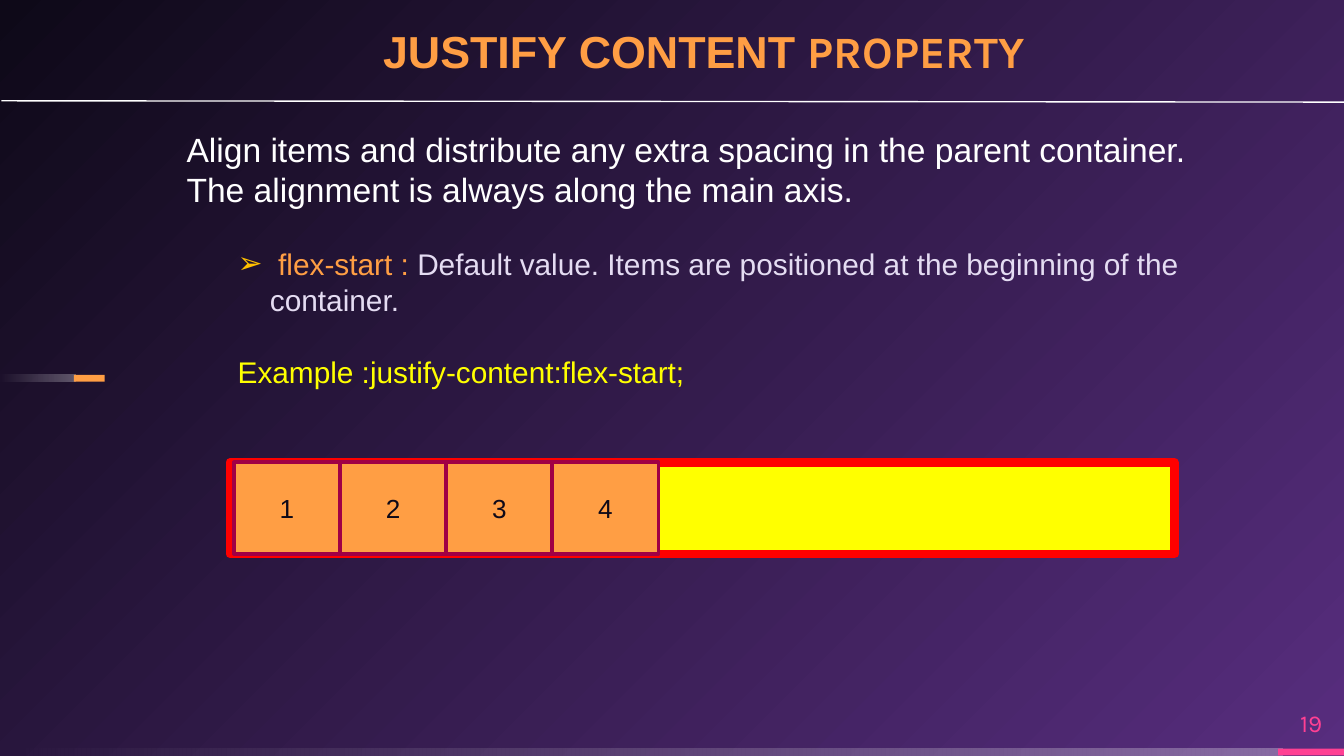
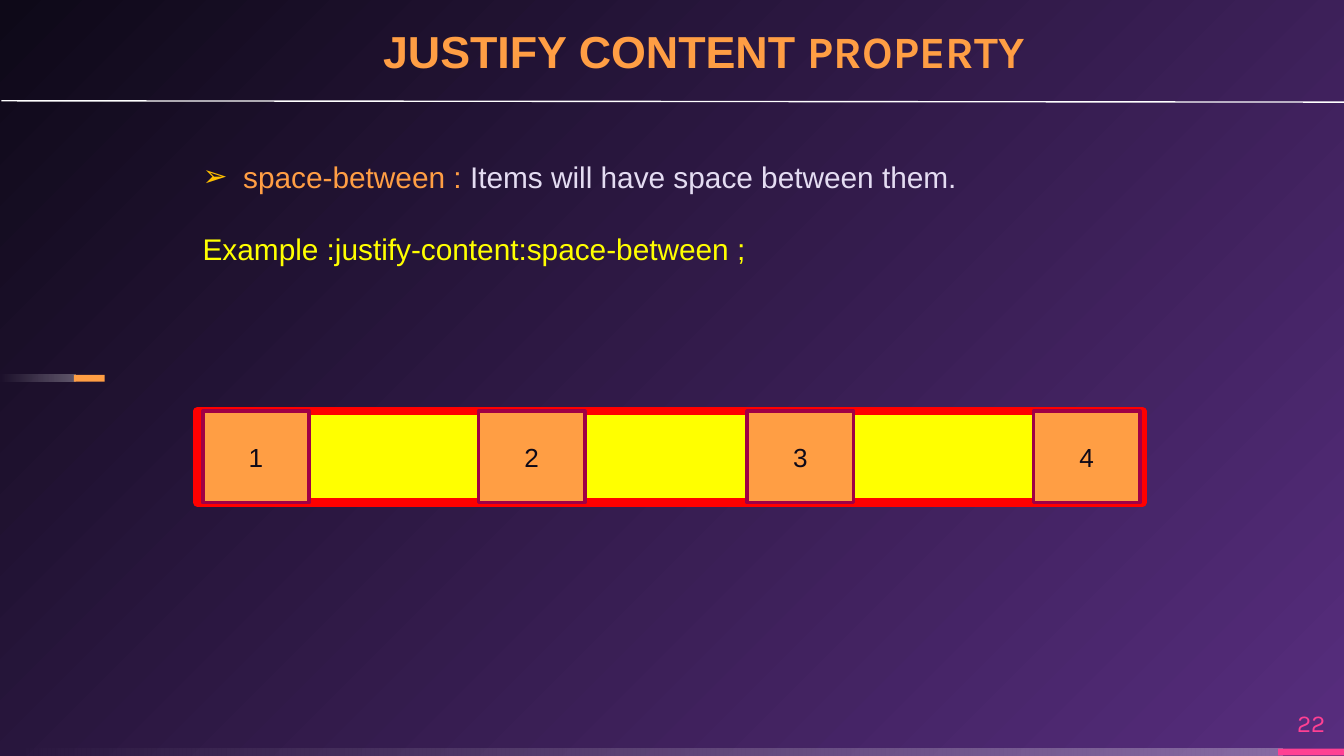
from lxml import etree
from pptx import Presentation
from pptx.dml.color import RGBColor
from pptx.enum.shapes import MSO_CONNECTOR, MSO_SHAPE
from pptx.enum.text import MSO_ANCHOR, MSO_AUTO_SIZE, PP_ALIGN
from pptx.oxml import parse_xml
from pptx.oxml.ns import nsdecls, qn
from pptx.util import Inches, Pt

RECT, PROCESS = MSO_SHAPE.RECTANGLE, MSO_SHAPE.FLOWCHART_PROCESS
LEFT, CENTER = PP_ALIGN.LEFT, PP_ALIGN.CENTER
TOP, MIDDLE, BOTTOM = MSO_ANCHOR.TOP, MSO_ANCHOR.MIDDLE, MSO_ANCHOR.BOTTOM

PURPLE = RGBColor(0x57, 0x2D, 0x7E)
NIGHT = RGBColor(0x0E, 0x09, 0x18)
PINK = RGBColor(0xFF, 0x40, 0x93)
ORANGE = RGBColor(0xFF, 0x9E, 0x44)
GOLD = RGBColor(0xFF, 0xC0, 0x00)
LAVENDER = RGBColor(0xE4, 0xDC, 0xF2)
YELLOW = RGBColor(0xFF, 0xFF, 0x00)
RED = RGBColor(0xFF, 0x00, 0x00)
WINE = RGBColor(0xA0, 0x00, 0x45)
WHITE = RGBColor(0xFF, 0xFF, 0xFF)

BODY_FONT, ACCENT_FONT = "Arial", "Karla"

# Content: a paragraph is a list of (text, colour, font) runs
TITLE = [("JUSTIFY CONTENT ", ORANGE, BODY_FONT), ("PROPERTY", ORANGE, ACCENT_FONT)]
INTRO = ["Align items and distribute any extra spacing in the parent container.",
         "The alignment is always along the main axis."]
ITEMS = ["1", "2", "3", "4"]
ITEM_WIDTH, ITEM_HEIGHT = 0.79, 0.68
CONTAINER_WIDTH = 7.03

SLIDES = [
    {"number": "19", "intro": INTRO,
     "value": "flex-start : ",
     "meaning": "Default value. Items are positioned at the beginning of the container.",
     "example": "Example :justify-content:flex-start;",
     "text_box": (1.67, 1.78, 7.29, 1.45),
     "container": (1.71, 3.44),
     "item_lefts": [1.74 + ITEM_WIDTH * i for i in range(len(ITEMS))]},
    {"number": "22", "intro": [],
     "value": "space-between : ",
     "meaning": "Items will have space between them.",
     "example": "Example :justify-content:space-between ;",
     "text_box": (1.41, 1.13, 7.56, 1.72),
     "container": (1.47, 3.06),
     "item_lefts": [1.51, 3.56, 5.56, 7.69]},
]

# Bars shared by all slides: box and fill, None for the white fade
BARS = [
    ((0, 5.57, 9.54, 0.05), None),
    ((9.51, 5.57, 0.49, 0.05), PINK),
    ((0, 2.79, 0.56, 0.05), None),
    ((0.55, 2.79, 0.23, 0.05), ORANGE),
]
FADE = '<a:lin ang="10800000" scaled="0"/>'
GLOW = ('<a:path path="circle"><a:fillToRect l="100000" t="100000" r="0" b="0"/>'
        '</a:path>')


def set_gradient(holder, stops, direction):
    """Swap the solid fill of a properties element for a gradient."""
    marks = "".join(
        f'<a:gs pos="{at * 1000}"><a:srgbClr val="{color}">'
        f'<a:alpha val="{alpha * 1000}"/></a:srgbClr></a:gs>'
        for at, color, alpha in stops)
    gradient = parse_xml(f'<a:gradFill {nsdecls("a")} rotWithShape="1">'
                         f'<a:gsLst>{marks}</a:gsLst>{direction}</a:gradFill>')
    holder.replace(holder.find(qn("a:solidFill")), gradient)


def add_bullet(paragraph, char="➢", color=GOLD, indent=Inches(0.24)):
    properties = paragraph._p.get_or_add_pPr()
    properties.set("marL", str(indent))
    properties.set("indent", str(-indent))
    bullet_color = etree.SubElement(properties, qn("a:buClr"))
    etree.SubElement(bullet_color, qn("a:srgbClr")).set("val", str(color))
    etree.SubElement(properties, qn("a:buFont")).set("typeface", BODY_FONT)
    etree.SubElement(properties, qn("a:buChar")).set("char", char)


def write(shape, paragraphs, size, align=LEFT, anchor=TOP, bold=False, spacing=None,
          gap=0, inset=None, grow=False, bullet_first=False):
    frame = shape.text_frame
    frame.word_wrap = True
    frame.auto_size = MSO_AUTO_SIZE.SHAPE_TO_FIT_TEXT if grow else MSO_AUTO_SIZE.NONE
    frame.vertical_anchor = anchor
    if inset is not None:
        frame.margin_left = frame.margin_right = Inches(inset)
        frame.margin_top = frame.margin_bottom = Inches(inset)
    for index, runs in enumerate(paragraphs):
        paragraph = frame.add_paragraph() if index else frame.paragraphs[0]
        paragraph.alignment = align
        if spacing:
            paragraph.line_spacing = spacing
        if index and gap:
            paragraph.space_before = Pt(gap)
        if bullet_first and index == 0:
            add_bullet(paragraph)
        for text, color, font in runs:
            run = paragraph.add_run()
            run.text = text
            run.font.size, run.font.bold, run.font.name = Pt(size), bold, font
            run.font.color.rgb = color


def add_block(slide, kind, box, fill, line=None, line_width=0):
    block = slide.shapes.add_shape(kind, *map(Inches, box))
    block.shadow.inherit = False
    block.fill.solid()
    block.fill.fore_color.rgb = fill
    if line is None:
        block.line.fill.background()
    else:
        block.line.color.rgb = line
        block.line.width = Pt(line_width)
    return block


def add_text(slide, box, paragraphs, size, **style):
    text_box = slide.shapes.add_textbox(*map(Inches, box))
    write(text_box, paragraphs, size, **style)


def add_bars(slide, layout):
    """Draw the shared bars and hand them to the layout."""
    for bar_id, (box, fill) in enumerate(BARS, start=20):
        bar = add_block(slide, RECT, box, fill or WHITE)
        if fill is None:
            set_gradient(bar.element.spPr, [(0, WHITE, 30), (100, WHITE, 0)], FADE)
        bar.element.nvSpPr.cNvPr.set("id", str(bar_id))
        layout.shapes.element.append(bar.element)


def add_title(slide):
    title = slide.shapes.title
    title.left, title.top, title.width, title.height = map(Inches, (2.85, 0.15, 5.71, 0.43))
    write(title, [TITLE], 24, anchor=BOTTOM, bold=True, spacing=0.9, inset=0)
    rule = slide.shapes.add_connector(MSO_CONNECTOR.STRAIGHT,
                                      *map(Inches, (0.01, 0.75, 10.14, 0.76)))
    rule.line.color.rgb = WHITE
    rule.line.width = Pt(0.75)
    etree.SubElement(rule.element.spPr, qn("a:effectLst"))


def add_flex_demo(slide, container, item_lefts):
    left, top = container
    add_block(slide, PROCESS, (left, top, CONTAINER_WIDTH, ITEM_HEIGHT), YELLOW, RED, 4.5)
    for label, item_left in zip(ITEMS, item_lefts):
        item = add_block(slide, PROCESS, (item_left, top, ITEM_WIDTH, ITEM_HEIGHT),
                         ORANGE, WINE, 2)
        write(item, [[(label, NIGHT, BODY_FONT)]], 14, align=CENTER, anchor=MIDDLE)


def build_slide(slide, content):
    add_title(slide)
    add_text(slide, (9.51, 5.19, 0.49, 0.38), [[(content["number"], PINK, ACCENT_FONT)]],
             13, align=CENTER, anchor=MIDDLE, inset=0)
    if content["intro"]:
        add_text(slide, (1.29, 0.91, 8.06, 0.71),
                 [[(line, WHITE, BODY_FONT)] for line in content["intro"]],
                 18, grow=True)
    definition = [(" ", LAVENDER, BODY_FONT), (content["value"], ORANGE, BODY_FONT),
                  (content["meaning"], LAVENDER, BODY_FONT)]
    add_text(slide, content["text_box"],
             [definition, [(content["example"], YELLOW, BODY_FONT)]],
             16, gap=19.3, grow=True, bullet_first=True)
    add_flex_demo(slide, content["container"], content["item_lefts"])


def main():
    prs = Presentation()
    prs.slide_width = Inches(10)
    prs.slide_height = prs.slide_width * 9 // 16
    layout = prs.slide_layouts[5]

    # Shared background
    master = prs.slide_master
    master.background.fill.solid()
    master.background.fill.fore_color.rgb = PURPLE
    set_gradient(master.element.find(".//" + qn("p:bgPr")),
                 [(0, PURPLE, 100), (100, NIGHT, 100)], GLOW)

    for index, content in enumerate(SLIDES):
        slide = prs.slides.add_slide(layout)
        if index == 0:
            add_bars(slide, layout)
        build_slide(slide, content)
    prs.save("out.pptx")


if __name__ == "__main__":
    main()
